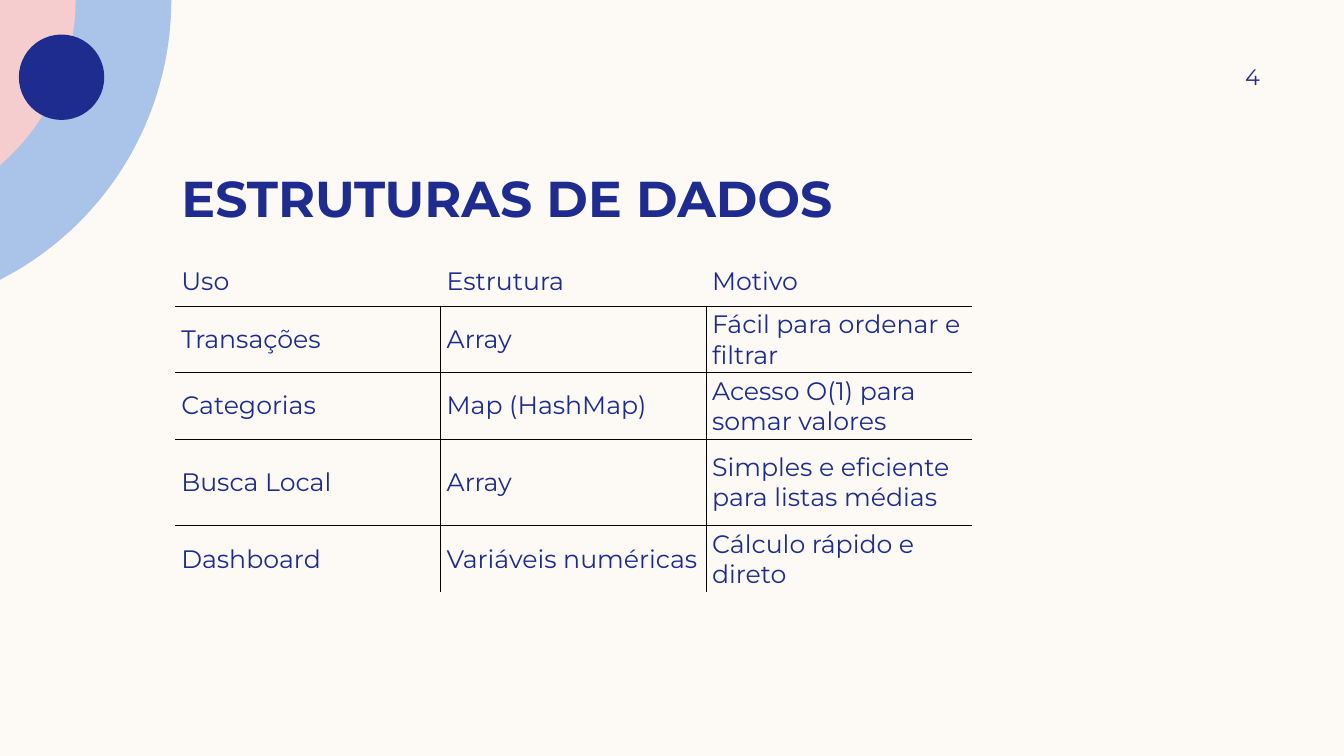
from math import acos, cos, sin

from lxml.etree import SubElement
from pptx import Presentation
from pptx.dml.color import RGBColor
from pptx.enum.shapes import MSO_SHAPE as Shape
from pptx.enum.text import MSO_ANCHOR as Anchor, PP_ALIGN as Align
from pptx.oxml.ns import qn
from pptx.util import Pt

COLORS = {
    "paper": "FDFAF6",
    "navy": "1F2C8F",
    "sky": "AAC3E8",
    "rose": "F5CDCE",
    "rule": "000000",
}
FONT = "Montserrat"
NO_STYLE = "{2D5ABB26-0587-4C30-8999-92F81FD0307C}"
ARC_STEPS = 48
ARC_OFFSET = 102

USES = [
    ("Uso", "Estrutura", "Motivo"),
    ("Transações", "Array", "Fácil para ordenar e filtrar"),
    ("Categorias", "Map (HashMap)", "Acesso O(1) para somar valores"),
    ("Busca Local", "Array", "Simples e eficiente para listas médias"),
    ("Dashboard", "Variáveis numéricas", "Cálculo rápido e direto"),
]
COLUMN_WIDTH = 189.6
ROW_HEIGHTS = [35.2, 35.2, 35.2, 61.9, 35.2]


def assign(target, values):
    for key, value in values.items():
        setattr(target, key, value)


def margins(left, top, right, bottom):
    sides = ("left", "top", "right", "bottom")
    return {f"margin_{side}": Pt(size) for side, size in zip(sides, (left, top, right, bottom))}


def box(left, top, width, height):
    return {"left": Pt(left), "top": Pt(top), "width": Pt(width), "height": Pt(height)}


class Deck:
    def __init__(self, width, height):
        self.presentation = Presentation()
        assign(self.presentation, {"slide_width": Pt(width), "slide_height": Pt(height)})
        self.slide = self.presentation.slides.add_slide(self.presentation.slide_layouts[5])
        self.paint(self.slide.background.fill, "paper")

    def color(self, name):
        return RGBColor.from_string(COLORS[name])

    def paint(self, fill, name):
        fill.solid()
        fill.fore_color.rgb = self.color(name)

    def decorate(self, ornament, name):
        self.paint(ornament.fill, name)
        ornament.line.fill.background()
        ornament.shadow.inherit = False

    def typeset(self, frame, words, size, bold=False, align=Align.LEFT):
        frame.text = words
        paragraph = frame.paragraphs[0]
        paragraph.alignment = align
        font = paragraph.runs[0].font
        assign(font, {"name": FONT, "size": Pt(size), "bold": bold})
        font.color.rgb = self.color("navy")

    def title(self, words, bounds):
        heading = self.slide.shapes.title
        assign(heading, box(*bounds))
        assign(heading.text_frame, margins(7.2, 0, 7.2, 0))
        assign(heading.text_frame, {"vertical_anchor": Anchor.BOTTOM, "word_wrap": True})
        self.typeset(heading.text_frame, words, 36, bold=True)

    def page_number(self, words, bounds):
        frame = self.slide.shapes.add_textbox(*box(*bounds).values()).text_frame
        assign(frame, margins(7.2, 3.6, 0, 3.6))
        assign(frame, {"vertical_anchor": Anchor.MIDDLE, "word_wrap": True})
        self.typeset(frame, words, 16, align=Align.RIGHT)

    def sector(self, radius, name):
        sweep = acos(ARC_OFFSET / radius)
        angles = [sweep * step / ARC_STEPS for step in range(ARC_STEPS + 1)]
        arc = [(Pt(radius * cos(a) - ARC_OFFSET), Pt(radius * sin(a))) for a in angles]
        outline = self.slide.shapes.build_freeform(0, 0)
        outline.add_line_segments(arc, close=True)
        self.decorate(outline.convert_to_shape(), name)

    def disc(self, left, top, diameter, name):
        bounds = box(left, top, diameter, diameter)
        self.decorate(self.slide.shapes.add_shape(Shape.OVAL, *bounds.values()), name)

    def borders(self, cell, visible):
        properties = cell._tc.get_or_add_tcPr()
        for place, side in enumerate("LRTB"):
            line = SubElement(properties, qn(f"a:ln{side}"), w=str(Pt(1)))
            if side in visible:
                solid = SubElement(line, qn("a:solidFill"))
                SubElement(solid, qn("a:srgbClr"), val=COLORS["rule"])
            else:
                SubElement(line, qn("a:noFill"))
            properties.insert(place, line)

    def table(self, rows, left, top, column_width, heights):
        last_row, last_column = len(rows) - 1, len(rows[0]) - 1
        bounds = box(left, top, column_width * len(rows[0]), sum(heights))
        grid = self.slide.shapes.add_table(len(rows), len(rows[0]), *bounds.values()).table
        assign(grid, {"first_row": False, "horz_banding": False})
        grid._tbl.tblPr.find(qn("a:tableStyleId")).text = NO_STYLE
        for column in grid.columns:
            column.width = Pt(column_width)
        for r, (entries, height) in enumerate(zip(rows, heights)):
            grid.rows[r].height = Pt(height)
            for c, words in enumerate(entries):
                cell = grid.cell(r, c)
                assign(cell, margins(4.3, 2.15, 4.3, 2.15))
                cell.vertical_anchor = Anchor.MIDDLE
                self.typeset(cell.text_frame, words, 18)
                cell.fill.background()
                inner = {
                    "L": r > 0 and c > 0,
                    "R": r > 0 and c < last_column,
                    "T": r > 0,
                    "B": r < last_row,
                }
                self.borders(cell, [side for side, shown in inner.items() if shown])


def main():
    deck = Deck(960, 540)
    deck.sector(224.4, "sky")
    deck.sector(156, "rose")
    deck.disc(13.5, 24.7, 61, "navy")
    deck.title("ESTRUTURAS DE DADOS", (122.4, 85.7, 777.6, 77))
    deck.page_number("4", (815.8, 36, 84.2, 37.4))
    deck.table(USES, 125.2, 183.6, COLUMN_WIDTH, ROW_HEIGHTS)
    deck.presentation.save("out.pptx")


if __name__ == "__main__":
    main()
